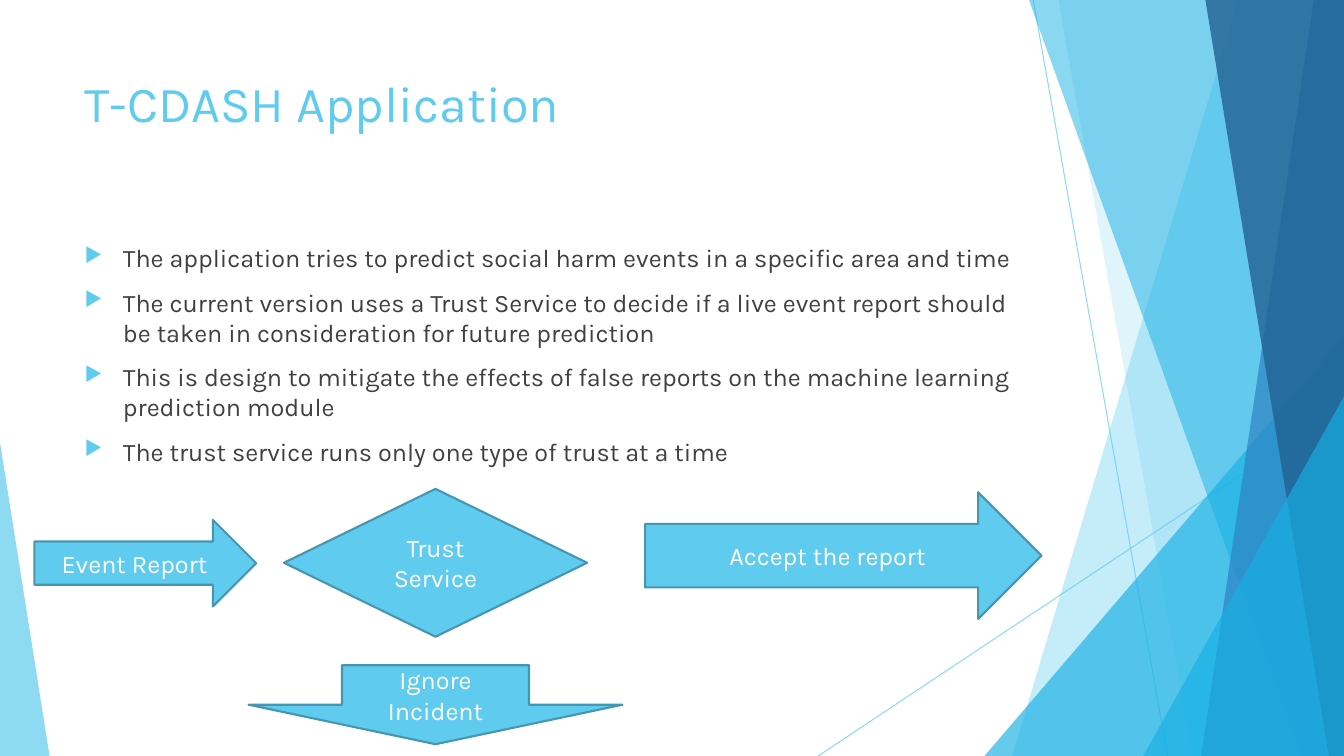
import dataclasses

import lxml.etree
import pptx
import pptx.dml.color
import pptx.enum.shapes
import pptx.enum.text
import pptx.oxml.ns
import pptx.util

PRESET = pptx.enum.shapes.MSO_SHAPE
ANCHOR = pptx.enum.text.MSO_ANCHOR
ALIGN = pptx.enum.text.PP_ALIGN
COLUMNS, ROWS = 16, 9
CELL = pptx.util.Inches(7.5) / ROWS


@dataclasses.dataclass(frozen=True)
class Theme:
    """Colours, font and type sizes of the slide."""
    sky: str = "5FCBEF"
    cyan: str = "17B0E4"
    blue: str = "2E83C3"
    navy: str = "226292"
    outline: str = "4696B1"
    body: str = "404040"
    white: str = "FFFFFF"
    font: str = "Karla"
    title_size: int = 36
    text_size: int = 18
    hairline: float = 0.75
    border: float = 1.5


THEME = Theme()


def cells(*counts):
    """Convert grid cells to slide units."""
    return [round(count * CELL) for count in counts]


def inside(box, left, top, width, height):
    """Move a part's place from its region to the slide."""
    return cells(box[0] + left, box[1] + top, width, height)


def color(value):
    """Make a colour from its hex value."""
    return pptx.dml.color.RGBColor.from_string(value)


def apply_format(target, values):
    """Set each attribute named in a dict of format values."""
    for name, value in values.items():
        setattr(target, name, value)


def add_element(parent, tag, **attributes):
    """Append a drawing element to its parent."""
    element = lxml.etree.SubElement(parent, pptx.oxml.ns.qn(tag))
    for name, value in attributes.items():
        element.set(name, value)
    return element


def set_opacity(shape, percent):
    """Make the colours of a shape partly transparent."""
    for node in shape.element.spPr.iter(pptx.oxml.ns.qn("a:srgbClr")):
        add_element(node, "a:alpha", val=str(percent * 1000))


def fill_shape(shape, fill):
    """Give a shape a flat fill without shadow."""
    shape.shadow.inherit = False
    shape.fill.solid()
    shape.fill.fore_color.rgb = color(fill)


def write(paragraph, text, size, fill, **layout):
    """Write one run of text in a paragraph."""
    apply_format(paragraph, layout)
    run = paragraph.add_run()
    run.text = text
    apply_format(run.font, {"name": THEME.font, "size": pptx.util.Pt(size)})
    run.font.color.rgb = color(fill)


def add_text_frame(slide, box):
    """Add a wrapping text box and return its frame."""
    frame = slide.shapes.add_textbox(*cells(*box)).text_frame
    apply_format(frame, {"word_wrap": True, "vertical_anchor": ANCHOR.TOP})
    return frame


def draw_ray(slide, box, start, end):
    """Draw a thin translucent line."""
    ends = inside(box, *start, 0, 0)[:2] + inside(box, *end, 0, 0)[:2]
    ray = slide.shapes.add_connector(pptx.enum.shapes.MSO_CONNECTOR.STRAIGHT, *ends)
    ray.line.color.rgb = color(THEME.sky)
    ray.line.width = pptx.util.Pt(THEME.hairline)
    set_opacity(ray, 70)
    add_element(ray.element.spPr, "a:effectLst")


def draw_facet(slide, box, top, bottom, fill, opacity):
    """Draw a full-height facet from a slanted edge to the right side."""
    corners = [(top, 0), (box[2], 0), (box[2], box[3]), (bottom, box[3])]
    points = [inside(box, *corner, 0, 0)[:2] for corner in corners]
    builder = slide.shapes.build_freeform(*points[0])
    builder.add_line_segments(points[1:], close=True)
    finish_facet(builder.convert_to_shape(), fill, opacity)


def draw_triangle(slide, box, left, top, width, apex, fill, opacity):
    """Draw a triangle that stands on the bottom of the region."""
    place = inside(box, left, top, width, box[3] - top)
    triangle = slide.shapes.add_shape(PRESET.ISOSCELES_TRIANGLE, *place)
    triangle.adjustments[0] = apex
    finish_facet(triangle, fill, opacity)


def finish_facet(shape, fill, opacity):
    """Apply the translucent, borderless look of a facet."""
    fill_shape(shape, fill)
    shape.line.fill.background()
    set_opacity(shape, opacity)


def draw_backdrop(slide, box):
    """Draw the rays and overlapping facets from back to front."""
    draw_ray(slide, box, (12.3, 0), (13.9, 9))
    draw_ray(slide, box, (16, 4.84), (9.74, 9))
    for draw, *values in (
        (draw_facet, 14.74, 12.05, THEME.sky, 36),
        (draw_facet, 12.6, 14.2, THEME.sky, 20),
        (draw_triangle, 11.72, 4, 4.28, 1, THEME.cyan, 66),
        (draw_facet, 12.25, 15.49, THEME.cyan, 50),
        (draw_facet, 15.64, 14.3, THEME.blue, 70),
        (draw_facet, 14.35, 15.82, THEME.navy, 80),
        (draw_triangle, 13.61, 4.72, 2.39, 1, THEME.cyan, 66),
        (draw_triangle, 0, 5.27, 0.59, 0, THEME.sky, 70),
    ):
        draw(slide, box, *values)


def draw_title(slide, box, text):
    """Write the slide title."""
    paragraph = add_text_frame(slide, box).paragraphs[0]
    write(paragraph, text, THEME.title_size, THEME.sky)


def draw_bullets(slide, box, lines):
    """Write the list with triangular bullets."""
    frame = add_text_frame(slide, box)
    indent = pptx.util.Inches(0.38)
    for index, line in enumerate(lines):
        paragraph = frame.add_paragraph() if index else frame.paragraphs[0]
        write(paragraph, line, THEME.text_size, THEME.body,
              space_before=pptx.util.Pt(10))
        properties = paragraph._p.get_or_add_pPr()
        apply_format(properties, {})
        properties.set("marL", str(indent))
        properties.set("indent", str(-indent))
        bullet_color = add_element(properties, "a:buClr")
        add_element(bullet_color, "a:srgbClr", val=THEME.sky)
        add_element(properties, "a:buSzPct", val="80000")
        add_element(properties, "a:buChar", char="▶")


def draw_flow(slide, box):
    """Draw the decision flow of an event report."""
    for preset, place, text in (
        (PRESET.RIGHT_ARROW, (0, 0.37, 2.64, 1.03), "Event Report"),
        (PRESET.DIAMOND, (2.97, 0, 3.61, 1.76), "Trust Service"),
        (PRESET.RIGHT_ARROW, (7.27, 0.04, 4.72, 1.51), "Accept the report"),
        (PRESET.DOWN_ARROW, (2.55, 2.1, 4.45, 0.94), "Ignore Incident"),
    ):
        shape = slide.shapes.add_shape(preset, *inside(box, *place))
        fill_shape(shape, THEME.sky)
        shape.line.color.rgb = color(THEME.outline)
        shape.line.width = pptx.util.Pt(THEME.border)
        apply_format(shape.text_frame,
                     {"word_wrap": True, "vertical_anchor": ANCHOR.MIDDLE})
        write(shape.text_frame.paragraphs[0], text, THEME.text_size,
              THEME.white, alignment=ALIGN.CENTER)


presentation = pptx.Presentation()
slide_width, slide_height = cells(COLUMNS, ROWS)
apply_format(presentation, {"slide_width": slide_width, "slide_height": slide_height})
slide = presentation.slides.add_slide(presentation.slide_layouts[6])
draw_backdrop(slide, (0, 0, COLUMNS, ROWS))
draw_title(slide, (0.89, 0.8, 11.28, 1.26), "T-CDASH Application")
draw_bullets(slide, (0.89, 2.83, 11.28, 3.02), (
    "The application tries to predict social harm events in a specific area and time",
    "The current version uses a Trust Service to decide if a live event report "
    "should be taken in consideration for future prediction",
    "This is design to mitigate the effects of false reports on the machine "
    "learning prediction module",
    "The trust service runs only one type of trust at a time",
))
draw_flow(slide, (0.41, 5.82, 11.99, 3.04))
presentation.save("out.pptx")
